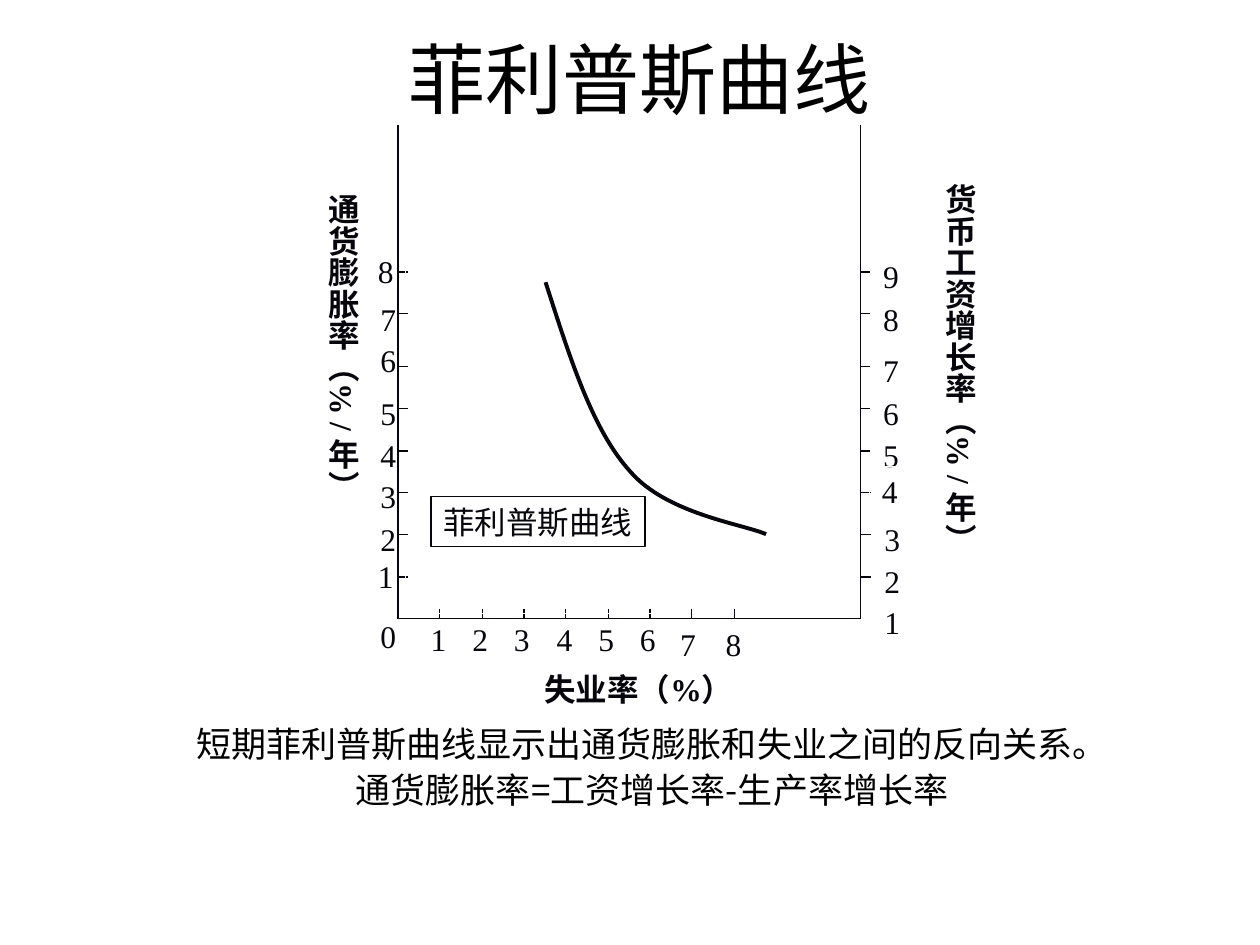
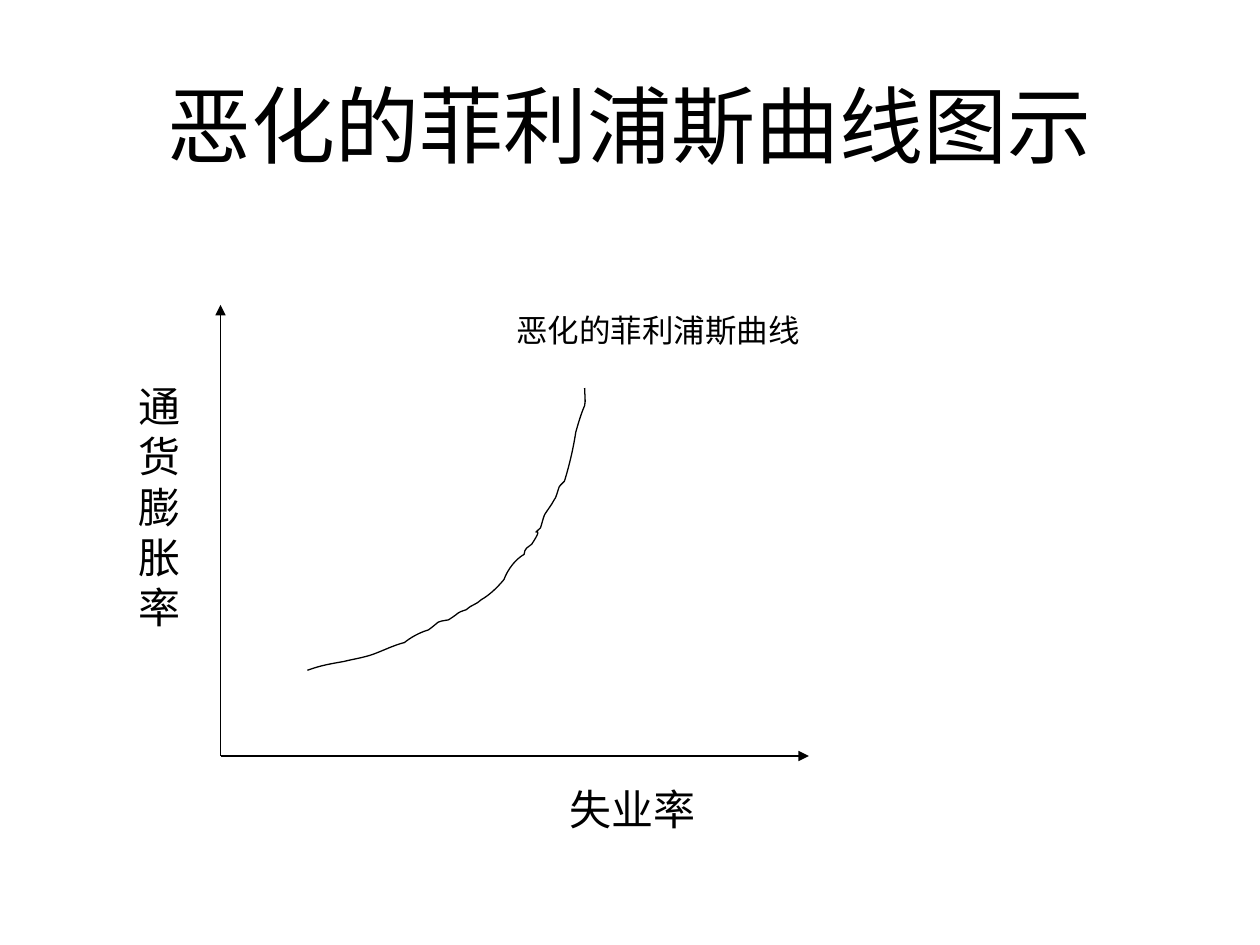
from dataclasses import dataclass
from typing import Any, Optional

from lxml.etree import SubElement
from pptx import Presentation
from pptx.dml.color import RGBColor
from pptx.enum.shapes import MSO_CONNECTOR as Connector, MSO_SHAPE as Preset
from pptx.enum.text import MSO_ANCHOR as Anchor, MSO_AUTO_SIZE as AutoSize, PP_ALIGN as Align
from pptx.oxml.ns import qn
from pptx.util import Emu, Pt

PX = 9144  # EMU in one px, 100 px to the inch
COLORS = {"ink": "06060C", "black": "000000", "paper": "FFFFFF"}
EAST_ASIAN_FONT = "Noto Sans CJK SC"

TITLE = {"size": Pt(44), "name": "Arial"}
BODY = {"size": Pt(20), "name": EAST_ASIAN_FONT}
NUMBER = {"size": Pt(18), "name": "Times New Roman"}
AXIS_TITLE = {**NUMBER, "bold": True}
SKETCH = {"size": Pt(24), "name": "Lato"}
SKETCH_SMALL = {**SKETCH, "size": Pt(18)}

Point = tuple[int, int]


@dataclass
class Label:
    lines: list[str]
    left: int
    top: int
    width: int
    height: int
    font: dict[str, Any]
    color: str = "black"
    outline: Optional[str] = None
    align: Align = Align.LEFT
    anchor: Anchor = Anchor.TOP
    wrap: bool = True
    fit: bool = True
    vertical: bool = False
    line_spacing: float = 1.0
    gap: int = 0


@dataclass
class Line:
    start: Point
    end: Point
    color: str = "ink"
    arrow: bool = False


@dataclass
class Curve:
    """A start point and cubic segments (control, control, end)."""
    start: Point
    segments: list[tuple[int, int, int, int, int, int]]
    color: str
    weight: float


def px(value: float) -> Emu:
    return Emu(round(value * PX))


def rgb(name: str) -> RGBColor:
    return RGBColor.from_string(COLORS[name])


def draw_label(shapes: Any, label: Label) -> None:
    box = [px(v) for v in (label.left, label.top, label.width, label.height)]
    if label.outline:
        shape = shapes.add_shape(Preset.RECTANGLE, *box)
        shape.shadow.inherit = False
        shape.fill.background()
        shape.line.color.rgb = rgb(label.outline)
        shape.line.width = Pt(0.75)
    else:
        shape = shapes.add_textbox(*box)
    frame = shape.text_frame
    side, edge = (5, 10) if label.vertical else (10, 5)
    frame_format = {
        "word_wrap": label.wrap, "vertical_anchor": label.anchor,
        "auto_size": AutoSize.SHAPE_TO_FIT_TEXT if label.fit else AutoSize.NONE,
        "margin_left": px(side), "margin_right": px(side),
        "margin_top": px(edge), "margin_bottom": px(edge),
    }
    for name, value in frame_format.items():
        setattr(frame, name, value)
    if label.vertical:
        shape.element.txBody.bodyPr.set("vert", "eaVert")
    for index, text in enumerate(label.lines):
        paragraph = frame.add_paragraph() if index else frame.paragraphs[0]
        paragraph.alignment = label.align
        paragraph.line_spacing = label.line_spacing
        paragraph.space_before = Pt(label.gap if index else 0)
        run = paragraph.add_run()
        run.text = text
        for name, value in label.font.items():
            setattr(run.font, name, value)
        run.font.color.rgb = rgb(label.color)
        SubElement(run._r.get_or_add_rPr(), qn("a:ea")).set("typeface", EAST_ASIAN_FONT)


def draw_line(shapes: Any, line: Line) -> None:
    connector = shapes.add_connector(
        Connector.STRAIGHT, *(px(v) for v in (*line.start, *line.end)))
    connector.line.color.rgb = rgb(line.color)
    connector.line.width = Pt(0.75)
    if line.arrow:
        outline = connector.line._get_or_add_ln()
        SubElement(outline, qn("a:tailEnd")).set("type", "triangle")
    SubElement(connector.element.spPr, qn("a:effectLst"))


def draw_curve(shapes: Any, curve: Curve) -> None:
    ends = [segment[4:] for segment in curve.segments]
    builder = shapes.build_freeform(*curve.start, scale=PX)
    builder.add_line_segments(ends, close=False)
    shape = builder.convert_to_shape()
    left, top = (min(values) for values in zip(curve.start, *ends))
    # Bend each straight segment into a cubic one
    straight = list(shape.element.iter(qn("a:lnTo")))
    for element, segment in zip(straight, curve.segments):
        element.tag = qn("a:cubicBezTo")
        element.remove(element[0])
        for x, y in zip(segment[::2], segment[1::2]):
            point = SubElement(element, qn("a:pt"))
            point.set("x", str(x - left))
            point.set("y", str(y - top))
    shape.shadow.inherit = False
    shape.fill.background()
    shape.line.color.rgb = rgb(curve.color)
    shape.line.width = Pt(curve.weight)


def title(text: str, left: int, top: int, height: int, size: int) -> Label:
    return Label([text], left, top, 850, height, {**TITLE, "size": Pt(size)},
                 align=Align.CENTER, anchor=Anchor.MIDDLE, fit=False)


def number(value: int, left: int, top: int, outline: Optional[str] = "paper") -> Label:
    return Label([str(value)], left, top, 32, 40, NUMBER, "ink", outline, wrap=False)


def axis_title(text: str, left: int, top: int, width: int, height: int,
               vertical: bool = True) -> Label:
    return Label([text], left, top, width, height, AXIS_TITLE, "ink",
                 "paper" if vertical else None, Align.CENTER, wrap=False, vertical=vertical)


# Frame of the first diagram
LEFT, RIGHT, TOP, BOTTOM, TICK = 316, 683, 99, 491, 8
ROW_TICKS = [458, 424, 391, 358, 324, 291, 249, 216]
COLUMN_TICKS = [round(LEFT + 33.35 * n) for n in range(1, 9)]
COLUMN_NUMBERS = [round(298.5 + 33.3 * n) for n in range(1, 7)]
INFLATION_TOPS = [437, 408, 374, 341, 308, 266, 233, 195]
WAGE_TOPS = [474, 441, 408, 370, 341, 308, 274, 233, 199]
WAGE_LEFTS = [692] * 3 + [690] + [691] * 5


def build_phillips_curve(slide: Any) -> None:
    draw_label(slide.shapes, title("菲利普斯曲线", 83, 28, 67, 44))
    draw_label(slide.shapes, Label(
        ["短期菲利普斯曲线显示出通货膨胀和失业之间的反向关系。",
         "通货膨胀率=工资增长率-生产率增长率"],
        102, 572, 831, 79, BODY, align=Align.CENTER, fit=False, line_spacing=0.9, gap=5))
    plot = slide.shapes.add_group_shape().shapes

    # Ticks and right axis
    for x in (LEFT, RIGHT):
        for y in ROW_TICKS:
            draw_line(plot, Line((x, y), (x + TICK, y)))
    for x in COLUMN_TICKS:
        draw_line(plot, Line((x, BOTTOM - TICK), (x, BOTTOM)))
    draw_line(plot, Line((RIGHT, TOP), (RIGHT, BOTTOM)))

    # Numbers on the three axes
    draw_label(plot, number(0, 292, 485))
    for value, x in enumerate(COLUMN_NUMBERS, 1):
        draw_label(plot, number(value, x, 487))
    for value, x in ((7, 530), (8, 566)):
        draw_label(plot, number(value, x, 491, None))
    for value, y in enumerate(INFLATION_TOPS, 1):
        draw_label(plot, number(value, 290 if value in (1, 8) else 292, y))
    wages = list(zip(range(1, 10), WAGE_LEFTS, WAGE_TOPS))
    for value, x, y in reversed(wages):
        draw_label(plot, number(value, x, y))

    # Curve, its name, axis titles
    draw_curve(plot, Curve((433, 224), [(452, 283, 470, 341, 500, 374),
                                        (529, 408, 590, 416, 608, 424)], "ink", 2.25))
    draw_label(plot, Label(["菲利普斯曲线"], 342, 394, 170, 40, NUMBER, "ink", "ink", wrap=False))
    draw_label(plot, axis_title("通货膨胀率（% / 年）", 242, 144, 50, 267))
    draw_label(plot, axis_title("货币工资增长率（% / 年）", 732, 136, 50, 317))
    draw_label(plot, axis_title("失业率（%）", 416, 527, 182, 40, vertical=False))

    # Main axes lie above the number boxes
    draw_line(plot, Line((LEFT, BOTTOM), (RIGHT, BOTTOM)))
    draw_line(plot, Line((LEFT, TOP), (LEFT, BOTTOM)))


def build_worsening_curve(slide: Any) -> None:
    shapes = slide.shapes
    draw_label(shapes, title("恶化的菲利浦斯曲线图示", 75, 36, 125, 48))

    # Axes with arrowheads
    for tip in ((175, 242), (642, 600)):
        draw_line(shapes, Line((175, 600), tip, "black", arrow=True))
    draw_label(shapes, Label(["通货膨胀率"], 100, 297, 62, 210, SKETCH))
    draw_label(shapes, Label(["失业率"], 442, 617, 120, 50, SKETCH, wrap=False))

    # Rising curve and its name
    draw_curve(shapes, Curve((244, 532), [
        (255, 528, 262, 527, 273, 525), (281, 523, 289, 522, 297, 519),
        (305, 516, 313, 512, 321, 510), (326, 506, 333, 502, 340, 500),
        (351, 492, 345, 494, 356, 492), (367, 485, 361, 487, 370, 484),
        (374, 480, 378, 480, 382, 476), (389, 472, 395, 466, 400, 460),
        (403, 452, 409, 444, 416, 440), (416, 438, 417, 436, 418, 435),
        (419, 434, 421, 433, 422, 432), (434, 414, 419, 428, 429, 419),
        (433, 406, 430, 412, 438, 400), (439, 398, 441, 395, 441, 395),
        (445, 384, 442, 388, 448, 382), (452, 369, 455, 356, 457, 343),
        (459, 336, 461, 329, 464, 322), (465, 318, 464, 313, 464, 308),
    ], "black", 0.75))
    draw_label(shapes, Label(["恶化的菲利浦斯曲线"], 400, 242, 258, 40, SKETCH_SMALL))


def main() -> None:
    presentation = Presentation()
    presentation.slide_width, presentation.slide_height = px(1000), px(750)
    blank = presentation.slide_layouts[6]
    for build in (build_phillips_curve, build_worsening_curve):
        build(presentation.slides.add_slide(blank))
    presentation.save("out.pptx")


if __name__ == "__main__":
    main()
